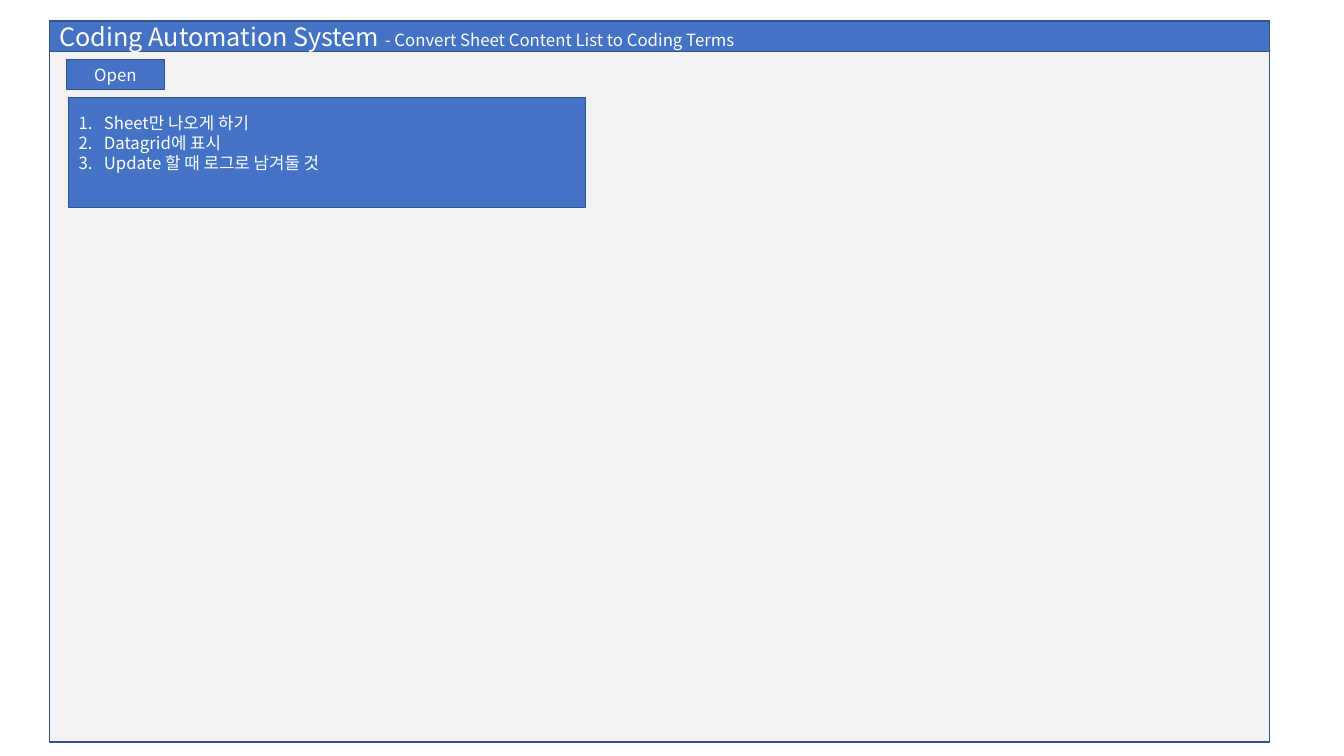
from dataclasses import dataclass

from lxml.etree import SubElement
from pptx import Presentation
from pptx.dml.color import RGBColor
from pptx.enum.shapes import MSO_SHAPE
from pptx.enum.text import MSO_ANCHOR, MSO_AUTO_SIZE, PP_ALIGN
from pptx.oxml.ns import qn
from pptx.util import Inches, Pt


@dataclass(frozen=True)
class Theme:
    font: str = "Noto Sans CJK KR"
    panel: RGBColor = RGBColor(0xF2, 0xF2, 0xF2)
    accent: RGBColor = RGBColor(0x44, 0x72, 0xC4)
    outline: RGBColor = RGBColor(0x32, 0x54, 0x91)
    text: RGBColor = RGBColor(0xFF, 0xFF, 0xFF)
    title_size: Pt = Pt(18)
    body_size: Pt = Pt(12)
    line_width: Pt = Pt(1)


def apply(target, values):
    for name, value in values.items():
        setattr(target, name, value)


class ScreenMockup:
    def __init__(self, slide, theme):
        self.slide = slide
        self.theme = theme

    def style(self, box, bounds, fill):
        places = ("left", "top", "width", "height")
        apply(box, dict(zip(places, map(Inches, bounds))))
        box.fill.solid()
        box.fill.fore_color.rgb = fill
        box.line.color.rgb = self.theme.outline
        box.line.width = self.theme.line_width

    def rectangle(self, bounds, fill):
        box = self.slide.shapes.add_shape(MSO_SHAPE.RECTANGLE, *map(Inches, bounds))
        box.shadow.inherit = False
        self.style(box, bounds, fill)
        return box

    def set_text(self, box, lines, align, bottom=0.05):
        frame = box.text_frame
        apply(frame, {
            "word_wrap": True,
            "auto_size": MSO_AUTO_SIZE.NONE,
            "vertical_anchor": MSO_ANCHOR.MIDDLE,
            "margin_left": Inches(0.1),
            "margin_right": Inches(0.1),
            "margin_top": Inches(0.05),
            "margin_bottom": Inches(bottom),
        })
        for index, line in enumerate(lines):
            para = frame.add_paragraph() if index else frame.paragraphs[0]
            apply(para, {"alignment": align, "space_before": Pt(0), "line_spacing": 1.0})
            for text, size in line:
                span = para.add_run()
                span.text = text
                apply(span.font, {"size": size, "name": self.theme.font})
                span.font.color.rgb = self.theme.text
                SubElement(span._r.get_or_add_rPr(), qn("a:ea"), typeface=self.theme.font)

    def panel(self, bounds):
        box = self.rectangle(bounds, self.theme.panel)
        self.slide.shapes.element.insert(2, box.element)

    def button(self, bounds, label):
        box = self.rectangle(bounds, self.theme.accent)
        self.set_text(box, [[(label, self.theme.body_size)]], PP_ALIGN.CENTER)

    def title_bar(self, bounds, name, subtitle):
        box = self.slide.shapes.title
        self.style(box, bounds, self.theme.accent)
        line = [(name, self.theme.title_size), (subtitle, self.theme.body_size)]
        self.set_text(box, [line], PP_ALIGN.LEFT)

    def numbered_list(self, bounds, items):
        box = self.slide.placeholders[1]
        self.style(box, bounds, self.theme.accent)
        lines = [[(item, self.theme.body_size)] for item in items]
        self.set_text(box, lines, PP_ALIGN.LEFT, bottom=0.25)
        for para in box.text_frame.paragraphs:
            properties = para._p.get_or_add_pPr()
            properties.set("marL", str(Inches(0.25)))
            properties.set("indent", str(Inches(-0.25)))
            SubElement(properties, qn("a:buFont"), typeface="+mj-lt")
            SubElement(properties, qn("a:buAutoNum"), type="arabicPeriod")


deck = Presentation()
apply(deck, {"slide_width": Inches(13.33), "slide_height": Inches(7.5)})
page = deck.slides.add_slide(deck.slide_layouts[1])
screen = ScreenMockup(page, Theme())

left, top, width = 0.49, 0.21, 12.1
screen.panel((left, top, width, 7.15))
screen.title_bar(
    (left, top, width, 0.3),
    "Coding Automation System ",
    "- Convert Sheet Content List to Coding Terms",
)
screen.button((0.66, 0.59, 0.97, 0.3), "Open")
screen.numbered_list(
    (0.68, 0.97, 5.13, 1.09),
    ["Sheet만 나오게 하기", "Datagrid에 표시", "Update 할 때 로그로 남겨둘 것"],
)
deck.save("out.pptx")
